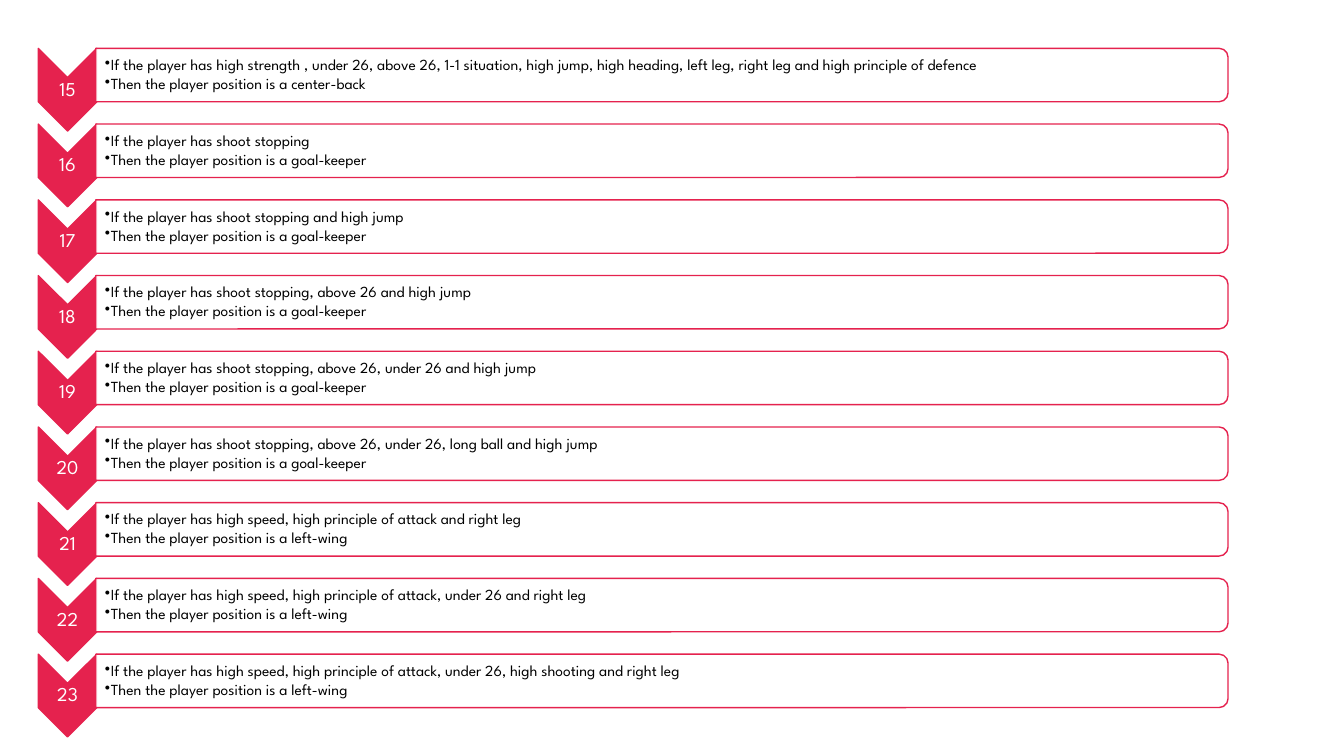
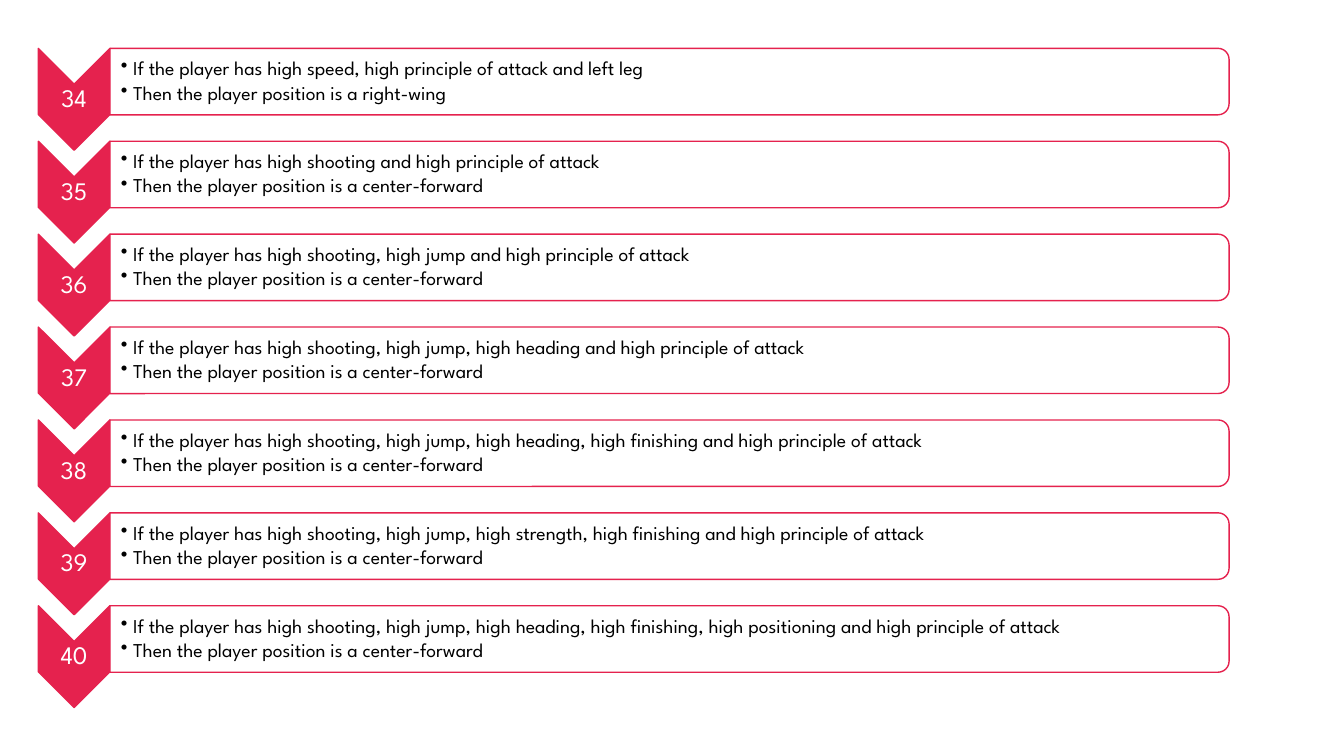
from dataclasses import dataclass

import pptx
import pptx.dml.color
import pptx.enum.shapes
import pptx.enum.text
import pptx.oxml.ns
import pptx.util
from lxml import etree
from pptx.util import Inches, Pt

COLOURS = {"accent": "E5224E", "paper": "FFFFFF", "ink": "000000"}
FONT = "League Spartan"
FIRST_TOP = 0.48
CHEVRON_LEFT = 0.38
TEXT_RIGHT = 12.16
INSET = 0.01


@dataclass(frozen=True)
class Rule:
    traits: str
    position: str


@dataclass(frozen=True)
class RuleList:
    first_number: int
    rules: tuple[Rule, ...]
    last_top: float
    chevron_width: float
    chevron_height: float
    band_left: float
    band_width: float
    band_height: float
    number_size: int
    rule_size: int
    text_inset: float
    bullet_indent: float


GOALKEEPER, LEFT_WING, FORWARD = "goal-keeper", "left-wing", "center-forward"

RULE_LISTS = (
    RuleList(
        first_number=15,
        rules=(
            Rule("high strength , under 26, above 26, 1-1 situation, high jump, high heading, "
                 "left leg, right leg and high principle of defence", "center-back"),
            Rule("shoot stopping", GOALKEEPER),
            Rule("shoot stopping and high jump", GOALKEEPER),
            Rule("shoot stopping, above 26 and high jump", GOALKEEPER),
            Rule("shoot stopping, above 26, under 26 and high jump", GOALKEEPER),
            Rule("shoot stopping, above 26, under 26, long ball and high jump", GOALKEEPER),
            Rule("high speed, high principle of attack and right leg", LEFT_WING),
            Rule("high speed, high principle of attack, under 26 and right leg", LEFT_WING),
            Rule("high speed, high principle of attack, under 26, high shooting and right leg",
                 LEFT_WING),
        ),
        last_top=6.49, chevron_width=0.58, chevron_height=0.82,
        band_left=0.95, band_width=11.23, band_height=0.53,
        number_size=14, rule_size=11, text_inset=0.09, bullet_indent=0.06,
    ),
    RuleList(
        first_number=34,
        rules=(
            Rule("high speed, high principle of attack and left leg", "right-wing"),
            Rule("high shooting and high principle of attack", FORWARD),
            Rule("high shooting, high jump and high principle of attack", FORWARD),
            Rule("high shooting, high jump, high heading and high principle of attack", FORWARD),
            Rule("high shooting, high jump, high heading, high finishing "
                 "and high principle of attack", FORWARD),
            Rule("high shooting, high jump, high strength, high finishing "
                 "and high principle of attack", FORWARD),
            Rule("high shooting, high jump, high heading, high finishing, high positioning "
                 "and high principle of attack", FORWARD),
        ),
        last_top=6.01, chevron_width=0.71, chevron_height=1.01,
        band_left=1.09, band_width=11.1, band_height=0.66,
        number_size=18, rule_size=14, text_inset=0.11, bullet_indent=0.12,
    ),
)


def rgb(name: str) -> pptx.dml.color.RGBColor:
    return pptx.dml.color.RGBColor.from_string(COLOURS[name])


def add_turned_shape(slide, kind, left: float, top: float, width: float, height: float,
                     fill: str):
    """Draw a shape turned by 90 degrees; the lengths give its place after the turn."""
    shape = slide.shapes.add_shape(
        kind, Inches(left + (width - height) / 2), Inches(top + (height - width) / 2),
        Inches(height), Inches(width))
    shape.rotation = 90
    shape.shadow.inherit = False
    shape.fill.solid()
    shape.fill.fore_color.rgb = rgb(fill)
    shape.line.color.rgb = rgb("accent")
    shape.line.width = Pt(1)
    return shape


def add_text(slide, left: float, top: float, width: float, height: float, lines: list[str],
             size: int, colour: str, left_inset: float = INSET):
    """Add a vertically centred text box and return its text frame."""
    frame = slide.shapes.add_textbox(
        Inches(left), Inches(top), Inches(width), Inches(height)).text_frame
    frame.word_wrap = True
    frame.vertical_anchor = pptx.enum.text.MSO_ANCHOR.MIDDLE
    frame.margin_left = Inches(left_inset)
    frame.margin_right = frame.margin_top = frame.margin_bottom = Inches(INSET)
    frame.text = "\n".join(lines)
    for paragraph in frame.paragraphs:
        paragraph.line_spacing = 0.9
        paragraph.space_after = Pt(size * 0.15)
        for run in paragraph.runs:
            run.font.name = FONT
            run.font.size = Pt(size)
            run.font.color.rgb = rgb(colour)
    return frame


def add_bullet(paragraph, indent: float) -> None:
    properties = paragraph._p.get_or_add_pPr()
    properties.set("marL", str(Inches(indent)))
    properties.set("indent", str(-Inches(indent)))
    etree.SubElement(properties, pptx.oxml.ns.qn("a:buChar"), char="•")


def draw_rule(slide, layout: RuleList, number: int, rule: Rule, top: float) -> None:
    shapes = pptx.enum.shapes.MSO_SHAPE

    # Numbered chevron
    add_turned_shape(slide, shapes.CHEVRON, CHEVRON_LEFT, top,
                     layout.chevron_width, layout.chevron_height, "accent")
    number_frame = add_text(
        slide, CHEVRON_LEFT, top + layout.chevron_width / 2, layout.chevron_width,
        layout.chevron_height - layout.chevron_width, [str(number)],
        layout.number_size, "paper")
    number_frame.paragraphs[0].alignment = pptx.enum.text.PP_ALIGN.CENTER

    # Band with the rule
    band = add_turned_shape(slide, shapes.ROUND_2_SAME_RECTANGLE, layout.band_left, top,
                            layout.band_width, layout.band_height, "paper")
    band_colour = band._element.spPr.find(".//" + pptx.oxml.ns.qn("a:srgbClr"))
    etree.SubElement(band_colour, pptx.oxml.ns.qn("a:alpha"), val="90000")
    rule_frame = add_text(
        slide, layout.band_left, top + 0.03, TEXT_RIGHT - layout.band_left,
        layout.band_height - 0.06,
        [f"If the player has {rule.traits}", f"Then the player position is a {rule.position}"],
        layout.rule_size, "ink", layout.text_inset)
    for paragraph in rule_frame.paragraphs:
        add_bullet(paragraph, layout.bullet_indent)


def main() -> None:
    deck = pptx.Presentation()
    deck.slide_width, deck.slide_height = Inches(13.33), Inches(7.5)
    blank_layout = deck.slide_layouts[6]
    for layout in RULE_LISTS:
        slide = deck.slides.add_slide(blank_layout)
        pitch = (layout.last_top - FIRST_TOP) / (len(layout.rules) - 1)
        for index, rule in enumerate(layout.rules):
            draw_rule(slide, layout, layout.first_number + index, rule,
                      FIRST_TOP + index * pitch)
    deck.save("out.pptx")


if __name__ == "__main__":
    main()
